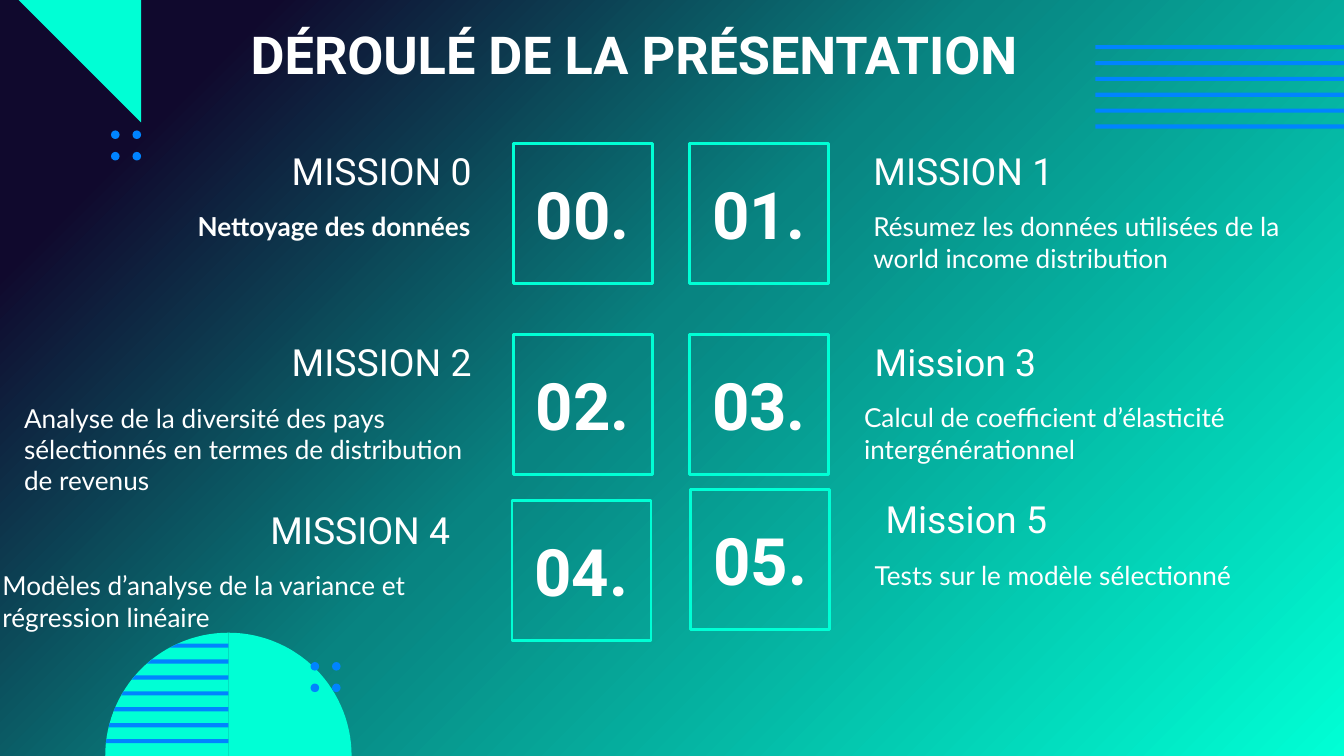
from copy import deepcopy
from math import cos, pi, sin, sqrt
from pptx import Presentation
from pptx.dml.color import RGBColor
from pptx.enum.shapes import MSO_SHAPE
from pptx.enum.text import MSO_ANCHOR, MSO_AUTO_SIZE, PP_ALIGN
from pptx.oxml.ns import qn
from pptx.util import Pt

HUES = {"night": "10092D", "teal": "088481", "mint": "00FFD5",
        "blue": "0084FF", "white": "FFFFFF"}


def paint(shape, hue):
    shape.shadow.inherit = False
    shape.fill.solid()
    shape.fill.fore_color.rgb = RGBColor.from_string(HUES[hue])
    shape.line.fill.background()


def write(shape, text, size, font, bold, align, anchor=MSO_ANCHOR.MIDDLE):
    frame = shape.text_frame
    frame.text = text
    frame.word_wrap = True
    frame.auto_size = MSO_AUTO_SIZE.NONE
    frame.vertical_anchor = anchor
    frame.margin_left = frame.margin_right = Pt(7.2)
    frame.margin_top = frame.margin_bottom = Pt(7.2)
    line = frame.paragraphs[0]
    line.alignment = align
    face = line.runs[0].font
    face.size, face.name, face.bold = Pt(size), font, bold
    face.color.rgb = RGBColor.from_string(HUES["white"])


deck = Presentation()
deck.slide_width, deck.slide_height = Pt(720), Pt(405)
slide = deck.slides.add_slide(deck.slide_layouts[5])
shapes = slide.shapes

back = slide.background.fill
back.gradient()
back.gradient_angle = 315
stops = slide._element.find(".//" + qn("a:gsLst"))
for _ in range(2):
    stops.append(deepcopy(stops[0]))
marks = [(0, "night"), (0.13, "night"), (0.47, "teal"), (1, "mint")]
for stop, (place, hue) in zip(back.gradient_stops, marks):
    stop.position = place
    stop.color.rgb = RGBColor.from_string(HUES[hue])

for i in range(6):
    paint(shapes.add_shape(MSO_SHAPE.RECTANGLE, Pt(586.8), Pt(24.2 + 8.5 * i),
                           Pt(184.3), Pt(2.2)), "blue")

mid, base, radius = 122.4, 405, 66
forms = [([(10, 0), (75.6, 65.6), (75.6, 0)], "mint")]
for side in (-1, 1):
    arc = [(mid + side * radius * sin(pi * i / 60),
            base - radius * cos(pi * i / 60)) for i in range(31)]
    forms.append(([(mid, base)] + arc, "mint"))
for i in range(7):
    top = 344.8 + 8.53 * i
    edge = [(mid - sqrt(radius ** 2 - (base - y) ** 2), y)
            for y in (top, top + 2.2)]
    forms.append((edge + [(mid, top + 2.2), (mid, top)], "blue"))
for dots, hue in forms:
    dots = [(Pt(x), Pt(y)) for x, y in dots]
    path = shapes.build_freeform(*dots[0])
    path.add_line_segments(dots[1:], close=True)
    paint(path.convert_to_shape(), hue)

for left, top in [(59.5, 69.9), (166.4, 354.7)]:
    for i in range(4):
        paint(shapes.add_shape(
            MSO_SHAPE.OVAL, Pt(left + 11.5 * (i % 2)),
            Pt(top + 11.5 * (i // 2)), Pt(4.6), Pt(4.6)), "blue")

title = shapes.title
title.left, title.top, title.width, title.height = map(Pt, (39.6, 5.8, 607, 45.4))
write(title, "DÉROULÉ DE LA PRÉSENTATION ", 28, "Roboto", True, PP_ALIGN.CENTER)

steps = [
    (275, 77, "MISSION 0", 56.9, 77, "Nettoyage des données", 56.2, 203),
    (369.4, 77, "MISSION 1", 460.8, 77,
     "Résumez les données utilisées de la world income distribution", 460.8, 259.2),
    (275, 179.3, "MISSION 2", 56.9, 179.3,
     "Analyse de la diversité des pays sélectionnés en termes de distribution de revenus",
     5.8, 253.4),
    (369.4, 179.3, "Mission 3", 461.5, 179.3,
     "Calcul de coefficient d’élasticité intergénérationnel", 455.8, 259.2),
    (274.3, 268, "MISSION 4", 45.4, 269.3,
     "Modèles d’analyse de la variance et régression linéaire", -5.8, 253.4),
    (370, 262.1, "Mission 5", 467.3, 263.5,
     "Tests sur le modèle sélectionné", 461.5, 259.2),
]
for i, (left, top, head, x, y, body, start, width) in enumerate(steps):
    box = shapes.add_shape(MSO_SHAPE.RECTANGLE, Pt(left), Pt(top), Pt(74.5), Pt(75))
    box.shadow.inherit = False
    box.fill.background()
    box.line.color.rgb = RGBColor.from_string(HUES["mint"])
    box.line.width = Pt(1.5)
    write(box, f"0{i}.", 35, "Roboto", True, PP_ALIGN.CENTER)

    label = shapes.add_textbox(Pt(x), Pt(y), Pt(203), Pt(28.8))
    write(label, head, 20, "Roboto", False,
          PP_ALIGN.LEFT if i % 2 else PP_ALIGN.RIGHT)

    note = shapes.add_textbox(Pt(start), Pt(y + 28.8), Pt(width),
                              Pt(56.2 if i in (2, 4) else 45.4))
    write(note, body, 14, "Lato", i == 0,
          PP_ALIGN.LEFT if i else PP_ALIGN.RIGHT, MSO_ANCHOR.TOP)

deck.save("out.pptx")
